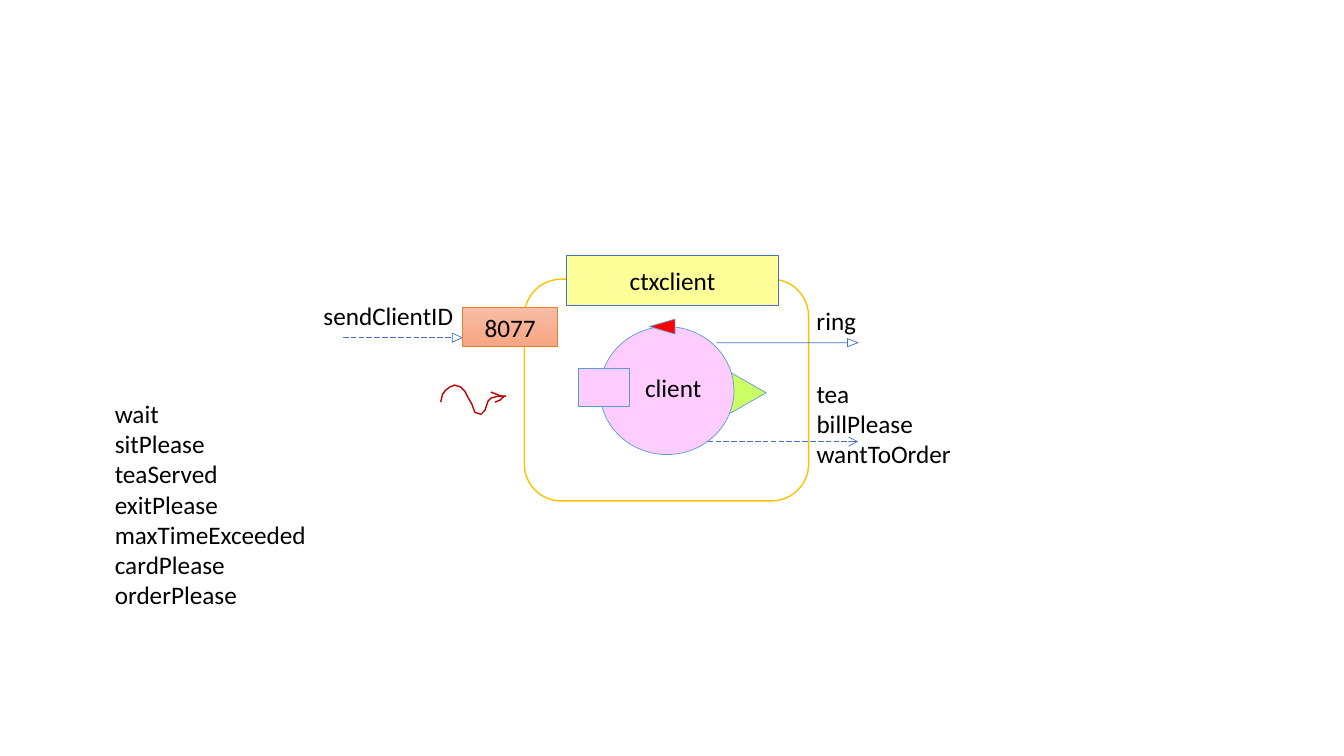
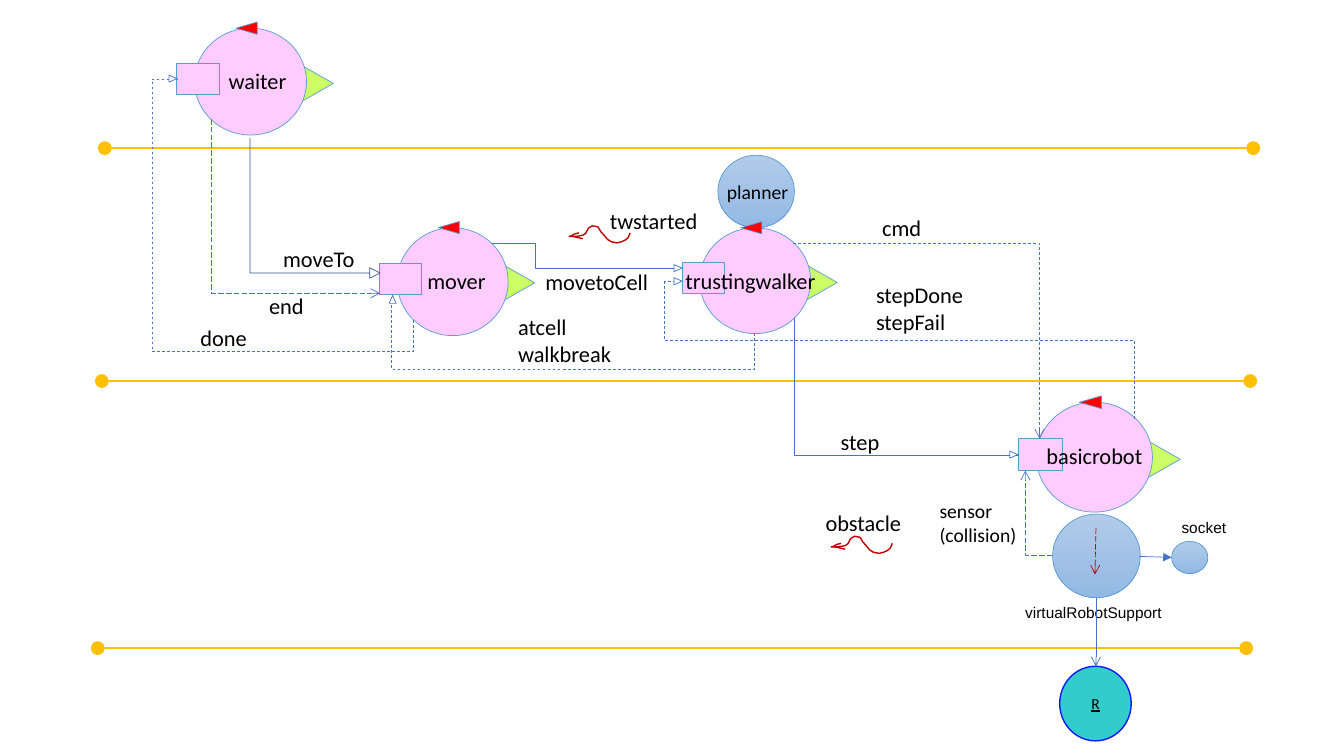
from lxml import etree
from pptx import Presentation
from pptx import util as u
from pptx.dml.color import RGBColor
from pptx.enum import dml, shapes, text
from pptx.oxml.ns import qn

BLACK = RGBColor(0x00, 0x00, 0x00)
WHITE = RGBColor(0xFF, 0xFF, 0xFF)
GOLD = RGBColor(0xFF, 0xC0, 0x00)
YELLOW = RGBColor(0xFF, 0xFF, 0x99)
PINK = RGBColor(0xFF, 0xCC, 0xFF)
LIME = RGBColor(0xCC, 0xFF, 0x66)
RED = RGBColor(0xFF, 0x00, 0x00)
CRIMSON = RGBColor(0xC0, 0x00, 0x00)
BLUE = RGBColor(0x44, 0x72, 0xC4)
SKY = RGBColor(0x5B, 0x9B, 0xD5)
NAVY = RGBColor(0x32, 0x54, 0x91)
ROYAL = RGBColor(0x13, 0x18, 0xED)
TEAL = RGBColor(0x33, 0xCC, 0xCC)
ORANGE = RGBColor(0xED, 0x7D, 0x31)
BLUE_BLEND = (RGBColor(0xB1, 0xCB, 0xE9), RGBColor(0x93, 0xB9, 0xE4))
ORANGE_BLEND = (RGBColor(0xF7, 0xBD, 0xA5), RGBColor(0xF8, 0xA5, 0x82))

KIND = shapes.MSO_SHAPE
DASH = dml.MSO_LINE.DASH
LONG_DASH = dml.MSO_LINE.LONG_DASH

WAVE_SIZE = (65, 29)
WAVE_STROKES = (
    ((0, 17), (2, 9), (5, 5), (9, 2), (14, 0), (20, 2), (24, 6), (27, 12), (31, 19),
     (34, 27), (40, 29), (44, 25), (47, 16), (50, 13), (57, 11), (65, 11)),
    ((63, 12), (50, 7)),
    ((63, 11), (59, 15), (54, 17)),
)


def write(frame, content, size=18, font="Calibri", align=text.PP_ALIGN.LEFT, underline=None):
    """Fill a text frame with one paragraph per line of content."""
    for index, line in enumerate(content.split("\n")):
        paragraph = frame.paragraphs[0] if index == 0 else frame.add_paragraph()
        paragraph.alignment = align
        run = paragraph.add_run()
        run.text = line
        run.font.size = u.Pt(size)
        run.font.name = font
        run.font.color.rgb = BLACK
        run.font.underline = underline


class Diagram:
    """Draw styled diagram elements on the current slide."""

    def __init__(self):
        """Open an empty widescreen presentation."""
        self.presentation = Presentation()
        self.presentation.slide_width = u.Inches(13.33)
        self.presentation.slide_height = u.Inches(7.5)
        self.slide = None

    def new_slide(self):
        """Start a blank slide."""
        self.slide = self.presentation.slides.add_slide(self.presentation.slide_layouts[6])

    def shape(self, kind, box, fill=None, line=SKY, weight=0.5, rotation=0, content="", **style):
        """Add a preset shape with optional centred text."""
        shape = self.slide.shapes.add_shape(kind, *map(u.Inches, box))
        shape.shadow.inherit = False
        shape.rotation = rotation
        shape.line.color.rgb = line
        shape.line.width = u.Pt(weight)
        if fill is None:
            shape.fill.background()
        elif fill in (BLUE_BLEND, ORANGE_BLEND):
            shape.fill.gradient()
            shape.fill.gradient_angle = 270
            for stop, color in zip(shape.fill.gradient_stops, fill):
                stop.color.rgb = color
        else:
            shape.fill.solid()
            shape.fill.fore_color.rgb = fill
        if content:
            shape.text_frame.vertical_anchor = text.MSO_ANCHOR.MIDDLE
            write(shape.text_frame, content, align=text.PP_ALIGN.CENTER, **style)
        return shape

    def block_arrow(self, kind, box, adjustments, **style):
        """Add a thin block arrow."""
        arrow = self.shape(kind, box, **style)
        for index, value in enumerate(adjustments):
            arrow.adjustments[index] = value

    def label(self, content, left, top, width, size=16, wrap=False, lines=0, **style):
        """Add a text box that fits its lines."""
        lines = lines or content.count("\n") + 1
        height = 0.1 + lines * size * 1.22 / 72
        box = self.slide.shapes.add_textbox(*map(u.Inches, (left, top, width, height)))
        box.text_frame.word_wrap = wrap
        box.text_frame.auto_size = text.MSO_AUTO_SIZE.SHAPE_TO_FIT_TEXT
        write(box.text_frame, content, size=size, **style)

    def line(self, start, end, color=BLUE, weight=0.5, dash=None, head=None, tail=None,
             end_size="med", kind=shapes.MSO_CONNECTOR.STRAIGHT):
        """Add a connector with optional dashes and ends."""
        connector = self.slide.shapes.add_connector(kind, *map(u.Inches, (*start, *end)))
        connector.line.color.rgb = color
        connector.line.width = u.Pt(weight)
        if dash:
            connector.line.dash_style = dash
        properties = connector._element.spPr
        outline = properties.find(qn("a:ln"))
        for tag, end_type in (("a:headEnd", head), ("a:tailEnd", tail)):
            if end_type:
                etree.SubElement(outline, qn(tag), type=end_type, w=end_size, len=end_size)
        etree.SubElement(properties, qn("a:effectLst"))
        return connector

    def elbow(self, box, rotation, flip="", bends=2, adjust=(), **style):
        """Add a bent connector from its unrotated frame."""
        left, top, width, height = box
        connector = self.line((left, top), (left + width, top + height),
                              kind=shapes.MSO_CONNECTOR.ELBOW, **style)
        properties = connector._element.spPr
        frame = properties.find(qn("a:xfrm"))
        frame.set("rot", str(rotation * 60000))
        if flip:
            frame.set("flip" + flip, "1")
        geometry = properties.find(qn("a:prstGeom"))
        geometry.set("prst", f"bentConnector{bends}")
        guides = geometry.find(qn("a:avLst"))
        if guides is None:
            guides = etree.SubElement(geometry, qn("a:avLst"))
        for index, value in enumerate(adjust, 1):
            etree.SubElement(guides, qn("a:gd"), name=f"adj{index}",
                             fmla=f"val {round(value * 100000)}")

    def arrowhead(self, left, top, rotation=90):
        """Add a small hollow arrowhead."""
        self.shape(KIND.ISOSCELES_TRIANGLE, (left, top, 0.07, 0.08), WHITE, BLUE,
                   rotation=rotation)

    def wave(self, left, top, width, height, turned=False):
        """Add a wavy event arrow, pointing left when turned."""
        def place(point):
            across, down = (value / full for value, full in zip(point, WAVE_SIZE))
            if turned:
                across, down = 1 - across, 1 - down
            return u.Inches(left + across * width), u.Inches(top + down * height)

        for stroke in WAVE_STROKES:
            points = [place(point) for point in stroke]
            builder = self.slide.shapes.build_freeform(*points[0])
            builder.add_line_segments(points[1:], close=False)
            shape = builder.convert_to_shape()
            shape.shadow.inherit = False
            shape.fill.background()
            shape.line.color.rgb = CRIMSON
            shape.line.width = u.Pt(1)

    def actor(self, name, body, name_left, name_width, size=16):
        """Add an actor: body, output tip, input box, flag and name."""
        left, top, width, height = body
        triangle = KIND.ISOSCELES_TRIANGLE
        self.shape(triangle, (left + 0.47 * width, top + 0.14 * height,
                              0.82 * width, 0.72 * width), LIME, rotation=90)
        self.shape(KIND.OVAL, body, PINK)
        self.shape(KIND.RECTANGLE, (left - 0.16 * width, top + 0.33 * height,
                                    0.38 * width, 0.29 * height), PINK)
        self.shape(triangle, (left + 0.41 * width, top - 0.1 * height,
                              0.11 * width, 0.19 * width), RED, rotation=270)
        self.label(name, name_left, top + 0.32 * height, name_width, size)


def client_slide(diagram):
    """Draw the client context."""
    diagram.new_slide()
    diagram.shape(KIND.ROUNDED_RECTANGLE, (5.2, 2.77, 2.82, 2.2), WHITE, GOLD, 1)
    diagram.actor("client", (5.95, 3.24, 1.33, 1.27), 6.3, 0.77, 18)
    diagram.shape(KIND.RECTANGLE, (5.62, 2.53, 2.1, 0.5), YELLOW, BLUE, content="ctxclient")
    diagram.block_arrow(KIND.RIGHT_ARROW, (7.11, 3.36, 1.4, 0.08), (0, 1.31), line=BLUE)
    diagram.line((3.4, 3.35), (4.48, 3.35), dash=LONG_DASH)
    diagram.shape(KIND.ISOSCELES_TRIANGLE, (4.49, 3.3, 0.09, 0.1), line=BLUE, rotation=90)
    diagram.line((7.02, 4.38), (8.51, 4.38), dash=LONG_DASH, tail="arrow")
    diagram.wave(4.37, 3.82, 0.65, 0.29)
    diagram.shape(KIND.RECTANGLE, (4.59, 3.05, 0.94, 0.39), ORANGE_BLEND, ORANGE, content="8077")
    replies = "wait\nsitPlease\nteaServed\nexitPlease\nmaxTimeExceeded\ncardPlease\norderPlease"
    for content, left, top, width in (
        ("sendClientID", 3.11, 2.93, 1.5),
        ("tea\nbillPlease\nwantToOrder", 8, 3.7, 1.55),
        (replies, 1.04, 3.9, 2.12),
        ("ring", 8, 2.98, 0.6),
    ):
        diagram.label(content, left, top, width, 18)


def robot_slide(diagram):
    """Draw the message flow from waiter to robot."""
    diagram.new_slide()
    diagram.shape(KIND.OVAL, (7.12, 1.54, 0.76, 0.72), BLUE_BLEND)
    diagram.actor("basicrobot", (10.28, 3.99, 1.15, 1.09), 10.28, 1.23)

    diagram.shape(KIND.OVAL, (10.44, 5.1, 0.87, 0.83), BLUE_BLEND)
    diagram.line((10.87, 5.24), (10.86, 5.7), CRIMSON, dash=LONG_DASH, tail="arrow")
    diagram.label("socket", 11.62, 5.09, 0.68, 11, font="Arial")
    diagram.shape(KIND.OVAL, (11.62, 5.37, 0.36, 0.32), BLUE_BLEND)
    diagram.line((11.3, 5.52), (11.62, 5.53), tail="triangle")
    diagram.elbow((10.17, 4.67, 0.27, 0.84), 180, dash=LONG_DASH, tail="arrow")
    diagram.label("sensor (collision)", 9.22, 4.9, 1.21, 14, wrap=True, lines=2)
    diagram.label("virtualRobotSupport", 10.07, 5.93, 1.65, 11, font="Arial")
    diagram.shape(KIND.OVAL, (10.51, 6.61, 0.71, 0.74), TEAL, ROYAL, 1,
                  content="R", size=11, underline=True)

    diagram.actor("mover", (3.94, 2.26, 1.1, 1.07), 4.14, 0.83)
    diagram.actor("trustingwalker", (6.94, 2.26, 1.1, 1.05), 6.7, 1.59)
    diagram.actor("waiter", (1.93, 0.28, 1.11, 1.06), 2.17, 0.83)
    for left, top in ((1.04, 1.47), (1.01, 3.78), (0.97, 6.43)):
        diagram.line((left, top), (left + 11.39, top), GOLD, 1.5,
                     head="oval", tail="oval", end_size="lg")

    diagram.block_arrow(KIND.BENT_UP_ARROW, (2.43, 1.42, 1.39, 1.29), (0, 0.04, 0.08),
                        fill=WHITE, line=NAVY, rotation=90)
    diagram.elbow((1.74, 0.81, 2.39, 2.34), 90, "H", 4, (-0.13, 1.11), dash=DASH)
    diagram.arrowhead(1.68, 0.74)
    diagram.wave(5.64, 2.24, 0.61, 0.17, turned=True)
    diagram.elbow((5.68, 1.62, 0.25, 1.84), 270, "H", 4, (-0.01, 0.23))
    diagram.arrowhead(6.69, 2.62)
    diagram.elbow((5.51, 1.33, 0.35, 3.6), 90, "H", 4, (-1.02, 1), dash=DASH)
    diagram.arrowhead(3.86, 2.93, 0)
    diagram.elbow((8.12, 2.16, 1.94, 2.44), 270, "H", 3, (0,), dash=DASH, tail="arrow")
    diagram.elbow((8.31, 2.72, 1.36, 2.23), 270, "H")
    diagram.arrowhead(10.02, 4.47)
    diagram.wave(8.24, 5.32, 0.61, 0.17, turned=True)
    diagram.elbow((8.29, 1.19, 1.36, 4.57), 270, "V", 4, (0.57, 1.02), dash=DASH)
    diagram.arrowhead(6.69, 2.75)
    diagram.line((10.87, 5.93), (10.87, 6.61), tail="arrow")
    diagram.elbow((2.07, 1.21, 1.73, 1.67), 270, "H", 3, (1,), dash=LONG_DASH, tail="arrow")

    for content, left, top, width in (
        ("moveTo", 2.71, 2.38, 0.92),
        ("end", 2.57, 2.85, 0.55),
        ("done", 1.89, 3.17, 0.67),
        ("twstarted", 5.95, 2.01, 1.08),
        ("movetoCell", 5.31, 2.61, 1.24),
        ("atcell\nwalkbreak", 5.04, 3.06, 1.13),
        ("cmd", 8.65, 2.08, 0.59),
        ("step", 8.24, 4.2, 0.59),
        ("stepDone\nstepFail", 8.59, 2.74, 1.08),
        ("obstacle", 8.09, 5, 0.96),
    ):
        diagram.label(content, left, top, width)
    diagram.label("planner", 7.11, 1.74, 0.82, 14)


diagram = Diagram()
client_slide(diagram)
robot_slide(diagram)
diagram.presentation.save("out.pptx")
